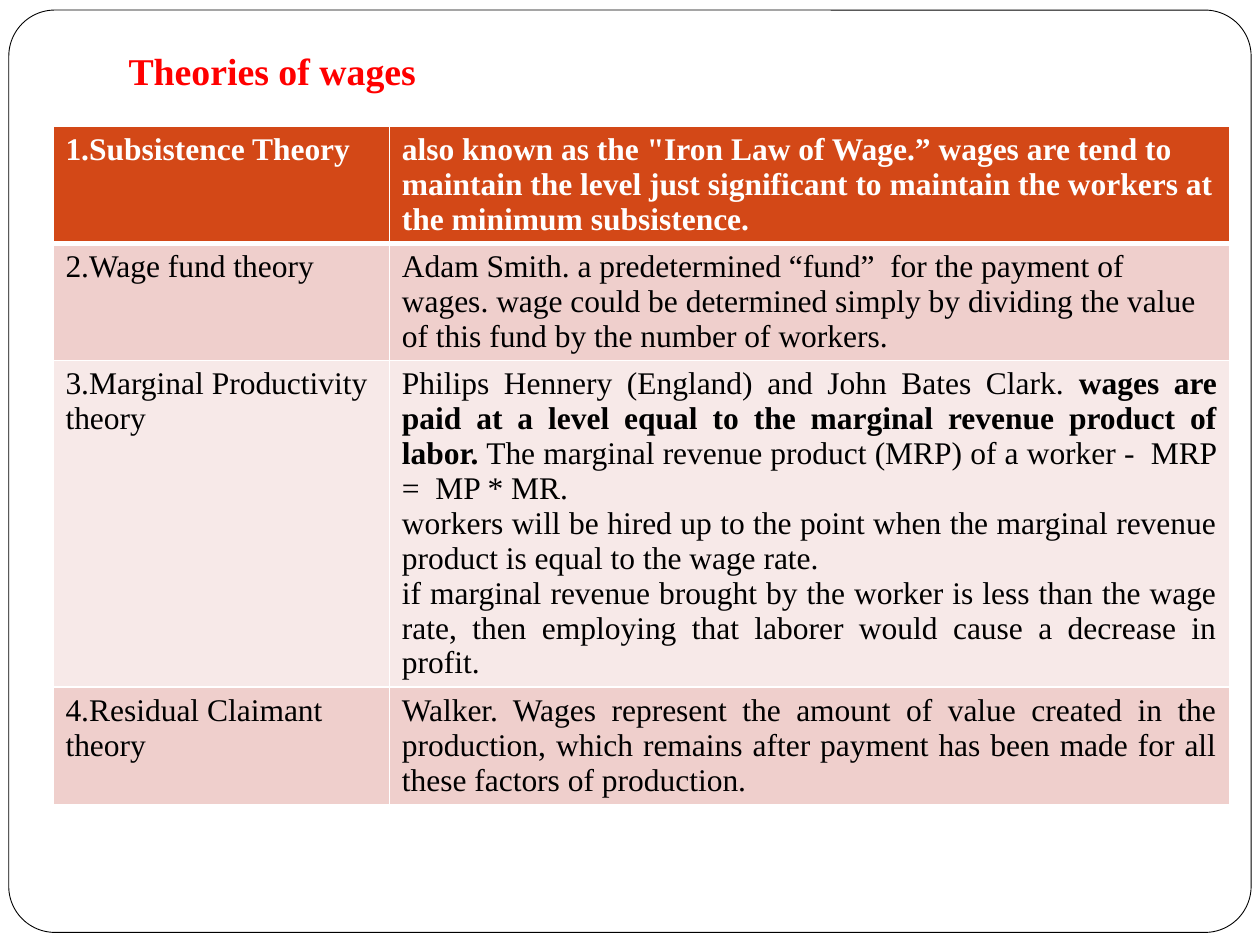
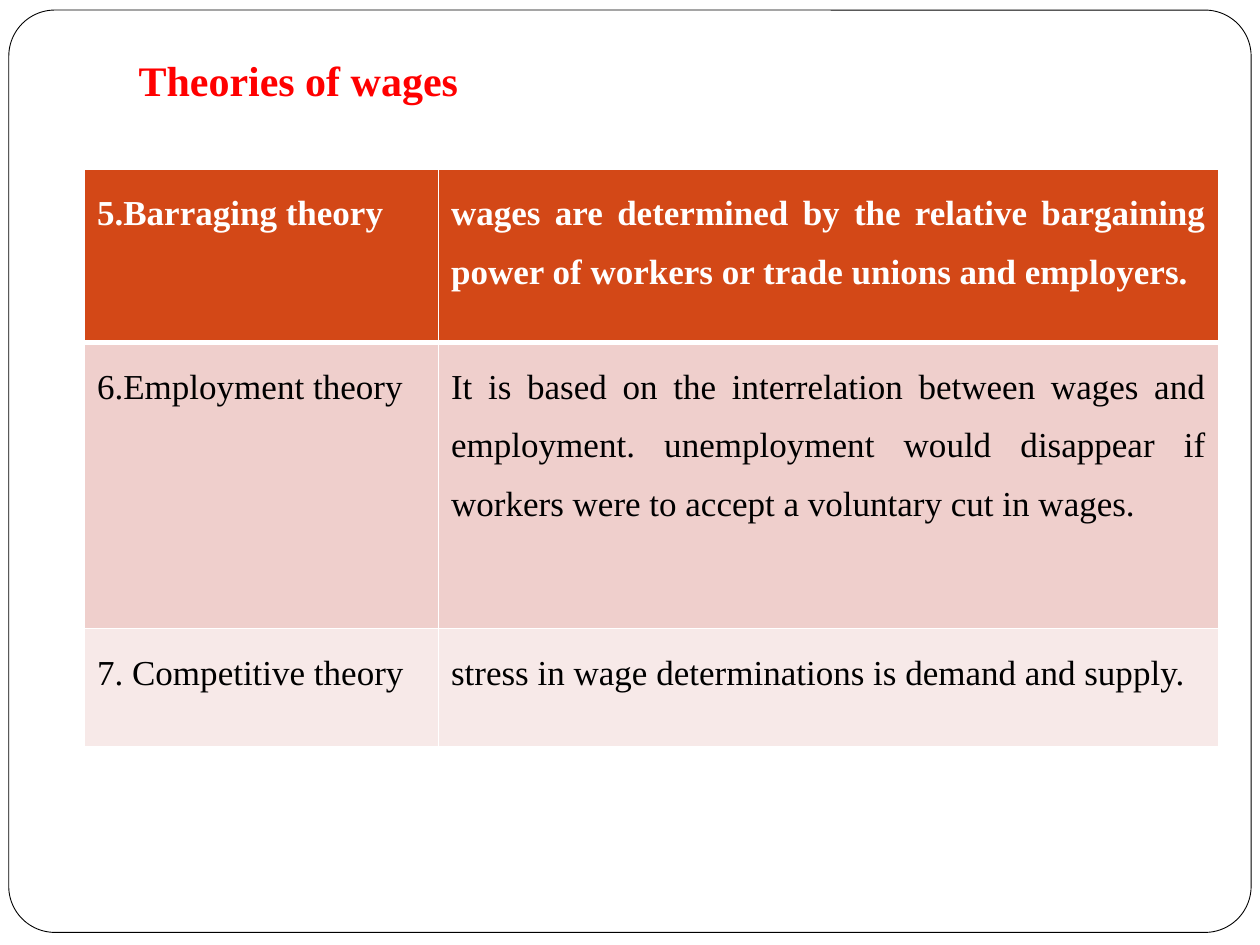
"""Build two slides of tables on the theories of wages."""
import lxml.etree
import pptx
import pptx.dml.color
import pptx.enum.shapes
import pptx.enum.text
import pptx.oxml.ns
import pptx.util

Inches = pptx.util.Inches
RGBColor = pptx.dml.color.RGBColor
ALIGN = pptx.enum.text.PP_ALIGN

WHITE = RGBColor(0xFF, 0xFF, 0xFF)
BLACK = RGBColor(0x00, 0x00, 0x00)
TITLE_RED = RGBColor(0xFF, 0x00, 0x00)
HEADER_ORANGE = RGBColor(0xD3, 0x48, 0x17)
BANDS = (RGBColor(0xEF, 0xCF, 0xCC), RGBColor(0xF7, 0xE9, 0xE8))
FONT = "Times New Roman"
TITLE_ONLY = 5
FRAME_ID = 100
BOLD_MARK = "|"

FIRST_THEORIES = [
    ("1.Subsistence Theory",
     "also known as the \"Iron Law of Wage.” wages are tend to maintain the level "
     "just significant to maintain the workers at the minimum subsistence."),
    ("2.Wage fund theory",
     "Adam Smith. a predetermined “fund”  for the payment of wages. wage could be "
     "determined simply by dividing the value of this fund by the number of workers."),
    ("3.Marginal Productivity theory",
     "Philips Hennery (England) and John Bates Clark.| wages are paid at a level equal "
     "to the marginal revenue product of labor.| The marginal revenue product (MRP) of "
     "a worker -  MRP =  MP * MR.\n"
     "workers will be hired up to the point when the marginal revenue product is equal "
     "to the wage rate.\n"
     "if marginal revenue brought by the worker is less than the wage rate, then "
     "employing that laborer would cause a decrease in profit."),
    ("4.Residual Claimant theory",
     "Walker. Wages represent the amount of value created in the production, which "
     "remains after payment has been made for all these factors of production."),
]
LAST_THEORIES = [
    ("5.Barraging theory",
     "wages are determined by the relative bargaining power of workers or trade unions "
     "and employers."),
    ("6.Employment theory",
     "It is based on the interrelation between wages and employment. unemployment would "
     "disappear if workers were to accept a voluntary cut in wages."),
    ("7. Competitive theory", "stress in wage determinations is demand and supply."),
]


class WageDeck:
    """Hold the shared style and the current slide."""

    def __init__(self):
        self.presentation = pptx.Presentation()
        self.presentation.slide_width = Inches(10)
        self.presentation.slide_height = Inches(7.5)
        self.slide = None

    def new_slide(self):
        layout = self.presentation.slide_layouts[TITLE_ONLY]
        self.slide = self.presentation.slides.add_slide(layout)

    def add_master_frame(self):
        frame = self.slide.shapes.add_shape(
            pptx.enum.shapes.MSO_SHAPE.ROUNDED_RECTANGLE,
            Inches(0.07), Inches(0.08), Inches(9.86), Inches(7.32))
        frame.adjustments[0] = 0.05
        frame.shadow.inherit = False
        frame.fill.solid()
        frame.fill.fore_color.rgb = WHITE
        frame.line.color.rgb = BLACK
        frame.line.width = pptx.util.Pt(0.5)
        frame.element.nvSpPr.cNvPr.set("id", str(FRAME_ID))
        self.presentation.slide_master.shapes.element.insert(2, frame.element)

    def style_run(self, run, size, color, bold):
        run.font.name = FONT
        run.font.size = pptx.util.Pt(size)
        run.font.color.rgb = color
        run.font.bold = bold

    def add_title(self, text, left, top, height, size):
        title = self.slide.shapes.title
        title.left, title.top = Inches(left), Inches(top)
        title.width, title.height = Inches(8.5), Inches(height)
        frame = title.text_frame
        frame.text = text
        frame.auto_size = pptx.enum.text.MSO_AUTO_SIZE.NONE
        frame.vertical_anchor = pptx.enum.text.MSO_ANCHOR.BOTTOM
        frame.margin_top = Inches(0.05)
        frame.margin_bottom = Inches(0.1)
        paragraph = frame.paragraphs[0]
        paragraph.alignment = ALIGN.LEFT
        self.style_run(paragraph.runs[0], size, TITLE_RED, True)

    def add_table(self, theories, left, top, widths, heights, size, spacing, justified):
        table = self.slide.shapes.add_table(
            len(theories), len(widths), Inches(left), Inches(top),
            Inches(sum(widths)), Inches(sum(heights))).table
        table.horz_banding = False
        for column, width in zip(table.columns, widths):
            column.width = Inches(width)
        for row_index, (theory, height) in enumerate(zip(theories, heights)):
            table.rows[row_index].height = Inches(height)
            for column_index, text in enumerate(theory):
                justify = column_index == 1 and row_index in justified
                self.fill_cell(table.cell(row_index, column_index), text, row_index,
                               size, spacing, ALIGN.JUSTIFY if justify else ALIGN.LEFT)

    def fill_cell(self, cell, text, row_index, size, spacing, alignment):
        header = row_index == 0
        cell.fill.solid()
        cell.fill.fore_color.rgb = HEADER_ORANGE if header else BANDS[(row_index - 1) % 2]
        self.add_borders(cell, top=3 if row_index == 1 else 1, bottom=3 if header else 1)
        cell.text = text.replace(BOLD_MARK, "")
        for paragraph, line in zip(cell.text_frame.paragraphs, text.split("\n")):
            paragraph.alignment = alignment
            paragraph.line_spacing = spacing
            parts = line.split(BOLD_MARK)
            paragraph.text = parts[0]
            for part in parts[1:]:
                paragraph.add_run().text = part
            for part_index, run in enumerate(paragraph.runs):
                self.style_run(run, size, WHITE if header else BLACK,
                               header or part_index % 2 == 1)

    def add_borders(self, cell, top, bottom):
        properties = cell._tc.get_or_add_tcPr()
        qn = pptx.oxml.ns.qn
        sides = {"a:lnL": 1, "a:lnR": 1, "a:lnT": top, "a:lnB": bottom}
        for position, (tag, width) in enumerate(sides.items()):
            border = lxml.etree.Element(qn(tag), w=str(pptx.util.Pt(width)))
            fill = lxml.etree.SubElement(border, qn("a:solidFill"))
            lxml.etree.SubElement(fill, qn("a:srgbClr"), val=str(WHITE))
            properties.insert(position, border)


def main():
    deck = WageDeck()
    deck.new_slide()
    deck.add_master_frame()
    deck.add_title("Theories of wages", 0.92, 0.34, 0.5, 21.6)
    deck.add_table(FIRST_THEORIES, 0.42, 1, (2.67, 6.67), (0.93, 0.93, 2.59, 0.93),
                   size=18, spacing=1.0, justified=(2, 3))
    deck.new_slide()
    deck.add_title("Theories of wages", 1, 0.4, 0.53, 24)
    deck.add_table(LAST_THEORIES, 0.67, 1.34, (2.81, 6.19), (1.38, 2.27, 0.94),
                   size=20, spacing=1.5, justified=(0, 1))
    deck.presentation.save("out.pptx")


if __name__ == "__main__":
    main()
